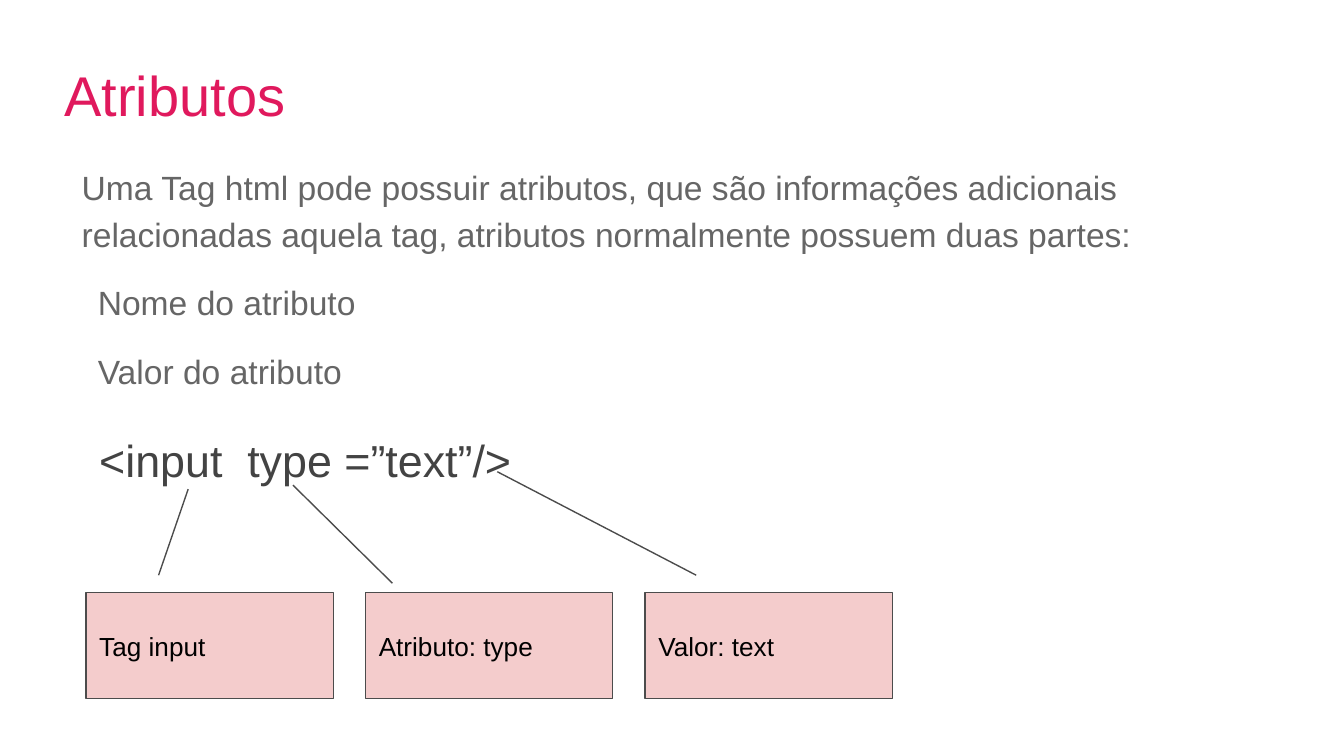
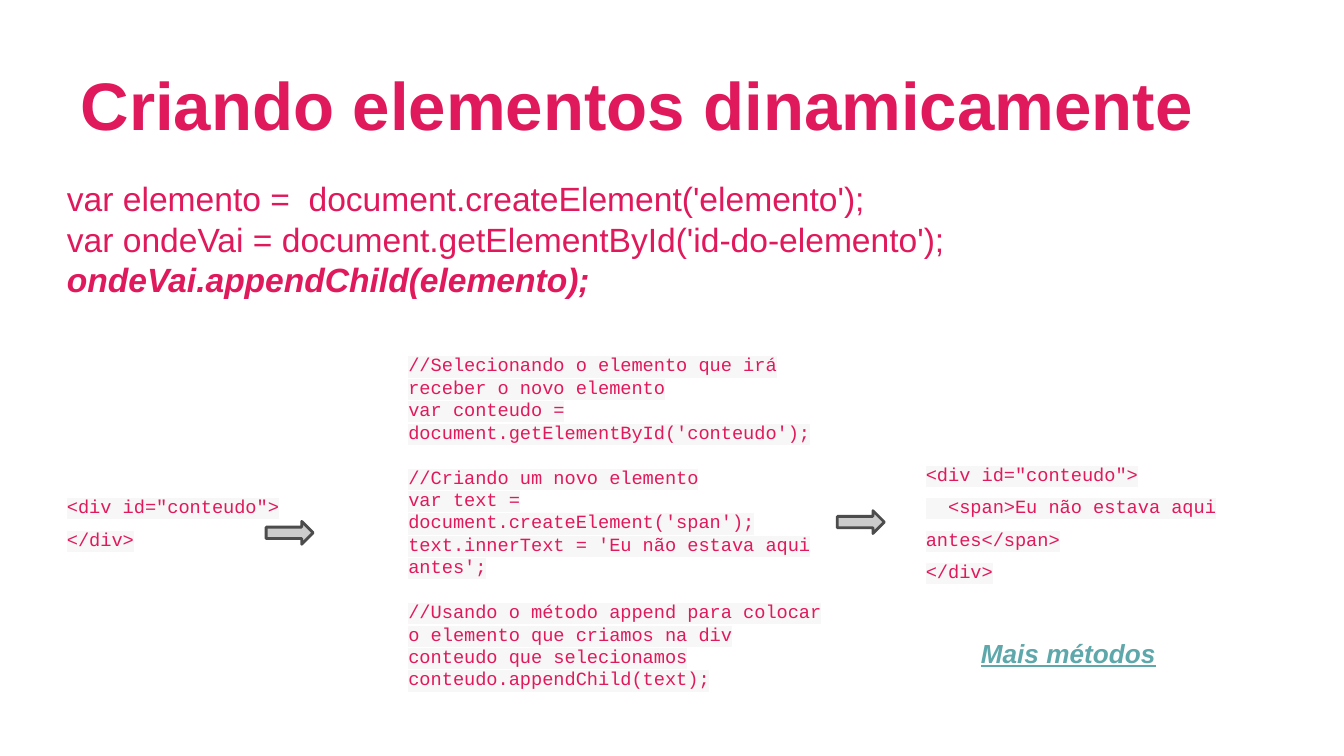
import copy

import pptx
import pptx.dml.color
import pptx.enum.shapes
import pptx.enum.text
import pptx.oxml.ns
import pptx.util
from lxml import etree

Inches = pptx.util.Inches
Pt = pptx.util.Pt
Anchor = pptx.enum.text.MSO_ANCHOR
Shape = pptx.enum.shapes.MSO_SHAPE

COLORS = {
    "pink": "E0195D",
    "gray": "666666",
    "dark": "434343",
    "outline": "4C4C4C",
    "rose": "F4CCCC",
    "silver": "CCCCCC",
    "code": "F7F7F7",
    "teal": "5EA7AA",
    "white": "FFFFFF",
    "black": "000000",
}
CODE = {"size": 10, "font": "Courier New", "highlight": "code"}


def rgb(name):
    return pptx.dml.color.RGBColor.from_string(COLORS[name])


def highlight_span(span, name):
    latin = span.font._element.find(pptx.oxml.ns.qn("a:latin"))
    mark = etree.Element(pptx.oxml.ns.qn("a:highlight"))
    etree.SubElement(mark, pptx.oxml.ns.qn("a:srgbClr"), val=COLORS[name])
    latin.addprevious(mark)


def write_text(para, text, size=18, font="Arial", color="pink", bold=False,
               italic=False, underline=False, highlight=None, spacing=1.0,
               after=0, hanging=False):
    para.alignment = pptx.enum.text.PP_ALIGN.LEFT
    para.line_spacing = spacing
    para.space_after = Pt(after)
    if hanging:
        properties = para._p.get_or_add_pPr()
        properties.set("marL", str(Inches(0.5)))
        properties.set("indent", str(Inches(-0.38)))
    for index, line in enumerate(text.split("\n")):
        if index:
            para.add_line_break()
            para._p[-1].append(copy.deepcopy(span.font._element))
        span = para.add_run()
        span.text = line
        span.font.size = Pt(size)
        span.font.bold = bold
        span.font.italic = italic
        span.font.underline = underline
        span.font.color.rgb = rgb(color)
        span.font.name = font
        if highlight:
            highlight_span(span, highlight)


def set_frame(shape, anchor):
    frame = shape.text_frame
    frame.word_wrap = True
    frame.auto_size = pptx.enum.text.MSO_AUTO_SIZE.NONE
    frame.vertical_anchor = anchor
    frame.margin_left = frame.margin_right = Inches(0.1)
    frame.margin_top = frame.margin_bottom = Inches(0.1)
    return frame


def add_page(deck, title, place, anchor, **style):
    page = deck.slides.add_slide(deck.slide_layouts[5])
    box = page.shapes.title
    box.left, box.top, box.width, box.height = map(Inches, place)
    write_text(set_frame(box, anchor).paragraphs[0], title, **style)
    return page


def add_text(page, place, lines, anchor=Anchor.TOP, **style):
    box = page.shapes.add_textbox(*map(Inches, place))
    frame = set_frame(box, anchor)
    for index, (text, extra) in enumerate(lines):
        para = frame.add_paragraph() if index else frame.paragraphs[0]
        write_text(para, text, **{**style, **extra})


def add_code(page, place, blocks, **style):
    lines = [(block, {"after": 12}) for block in blocks[:-1]] + [(blocks[-1], {})]
    add_text(page, place, lines, Anchor.MIDDLE, **CODE, **style)


def add_shape(page, kind, place, fill, weight):
    shape = page.shapes.add_shape(kind, *map(Inches, place))
    shape.shadow.inherit = False
    shape.fill.solid()
    shape.fill.fore_color.rgb = rgb(fill)
    shape.line.color.rgb = rgb("outline")
    shape.line.width = Pt(weight)
    return shape


def add_label(page, left, text):
    box = add_shape(page, Shape.RECTANGLE, (left, 4.41, 1.84, 0.79), "rose", 0.75)
    write_text(set_frame(box, Anchor.MIDDLE).paragraphs[0], text, size=14, color="black")


def add_line(page, start, end):
    line = page.shapes.add_connector(
        pptx.enum.shapes.MSO_CONNECTOR.STRAIGHT, *map(Inches, start + end))
    line.line.color.rgb = rgb("outline")
    line.line.width = Pt(0.75)
    etree.SubElement(line._element.spPr, pptx.oxml.ns.qn("a:effectLst"))


def build_attributes(deck):
    page = add_page(deck, "Atributos", (0.38, 0.35, 8.66, 0.64), Anchor.TOP, size=30)
    add_text(page, (0.51, 1.1, 8.77, 1.86), [
        ("Uma Tag html pode possuir atributos, que são informações adicionais "
         "relacionadas aquela tag, atributos normalmente possuem duas partes:", {}),
        ("Nome do atributo", {"hanging": True}),
        ("Valor do atributo", {"hanging": True}),
    ], color="gray", highlight="white", spacing=1.15, after=12)
    add_text(page, (0.64, 3.12, 6.8, 1.41), [("<input  type =”text”/>", {})],
             size=24, color="dark")
    for index, text in enumerate(["Tag input", "Atributo: type", "Valor: text"]):
        add_label(page, 0.64 + 2.08 * index, text)
    for start, end in [((1.18, 4.28), (1.4, 3.64)),
                       ((2.92, 4.34), (2.18, 3.61)),
                       ((5.18, 4.28), (3.7, 3.51))]:
        add_line(page, start, end)


def build_elements(deck):
    page = add_page(deck, "Criando elementos dinamicamente", (0.5, 0.23, 9, 0.94),
                    Anchor.BOTTOM, size=36, bold=True)
    add_text(page, (0.4, 0.92, 9.5, 1.71), [
        ("var elemento =  document.createElement('elemento');", {}),
        ("var ondeVai = document.getElementById('id-do-elemento');", {}),
        ("ondeVai.appendChild(elemento);", {"bold": True, "italic": True}),
    ], Anchor.MIDDLE)
    add_code(page, (0.4, 3.53, 1.97, 0.64),
             ['<div id="conteudo">\n</div>'], spacing=1.45)
    add_code(page, (2.94, 2.24, 3.28, 3.28), [
        "//Selecionando o elemento que irá receber o novo elemento\n"
        "var conteudo = document.getElementById('conteudo');",
        "//Criando um novo elemento\n"
        "var text = document.createElement('span');\n"
        "text.innerText = 'Eu não estava aqui antes';",
        "//Usando o método append para colocar o elemento que criamos "
        "na div conteudo que selecionamos\n"
        "conteudo.appendChild(text);",
    ])
    for left, top in [(1.98, 3.88), (6.23, 3.8)]:
        add_shape(page, Shape.RIGHT_ARROW, (left, top, 0.35, 0.17), "silver", 1.5)
    add_code(page, (6.79, 2.21, 3.28, 3.28), [
        '<div id="conteudo">\n  <span>Eu não estava aqui antes</span>\n</div>',
    ], spacing=1.45)
    add_text(page, (7.2, 4.64, 2.6, 0.6), [("Mais métodos", {})],
             size=14, color="teal", bold=True, italic=True, underline=True)


def main():
    deck = pptx.Presentation()
    deck.slide_width = Inches(10)
    deck.slide_height = deck.slide_width * 9 // 16
    build_attributes(deck)
    build_elements(deck)
    deck.save("out.pptx")


if __name__ == "__main__":
    main()
